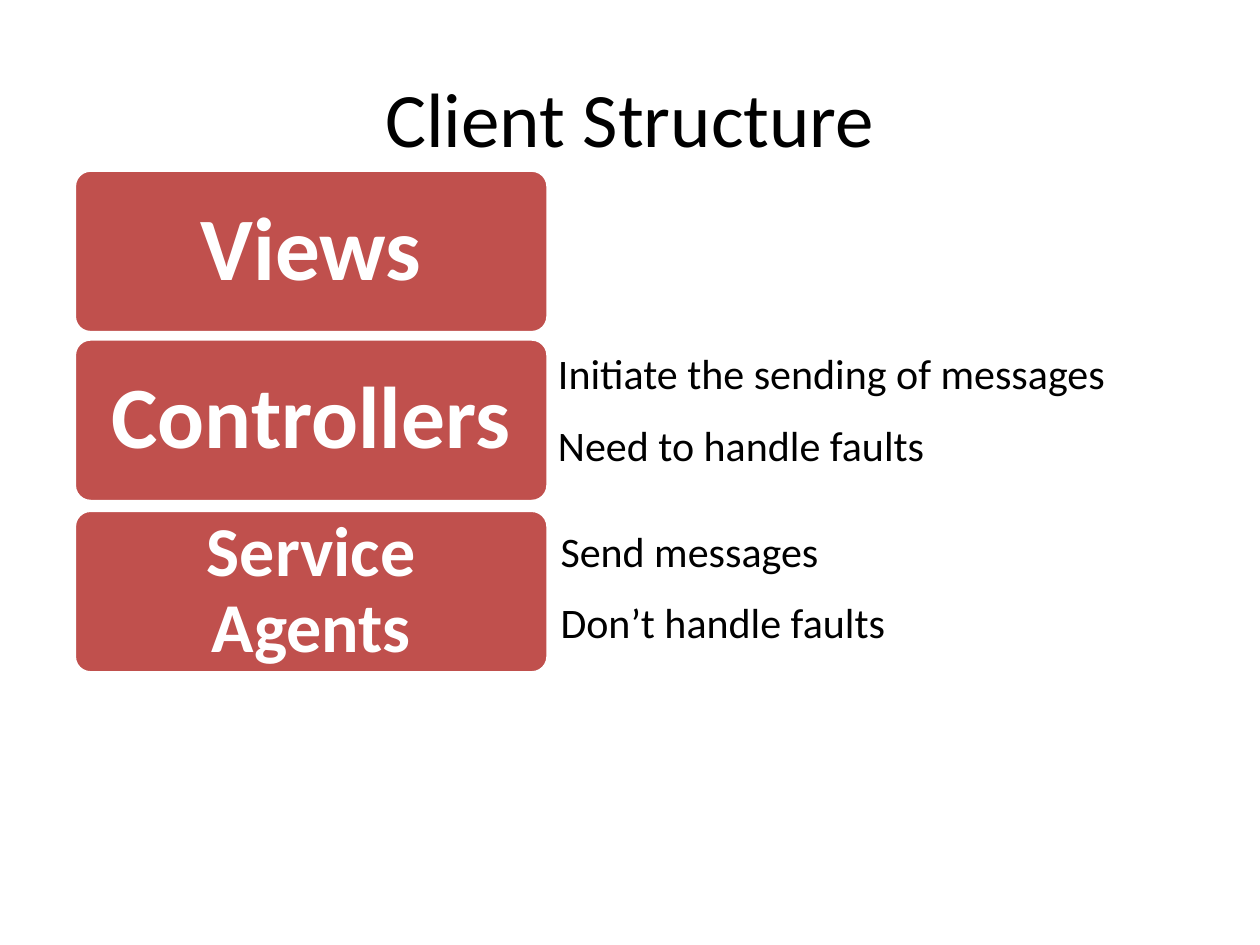
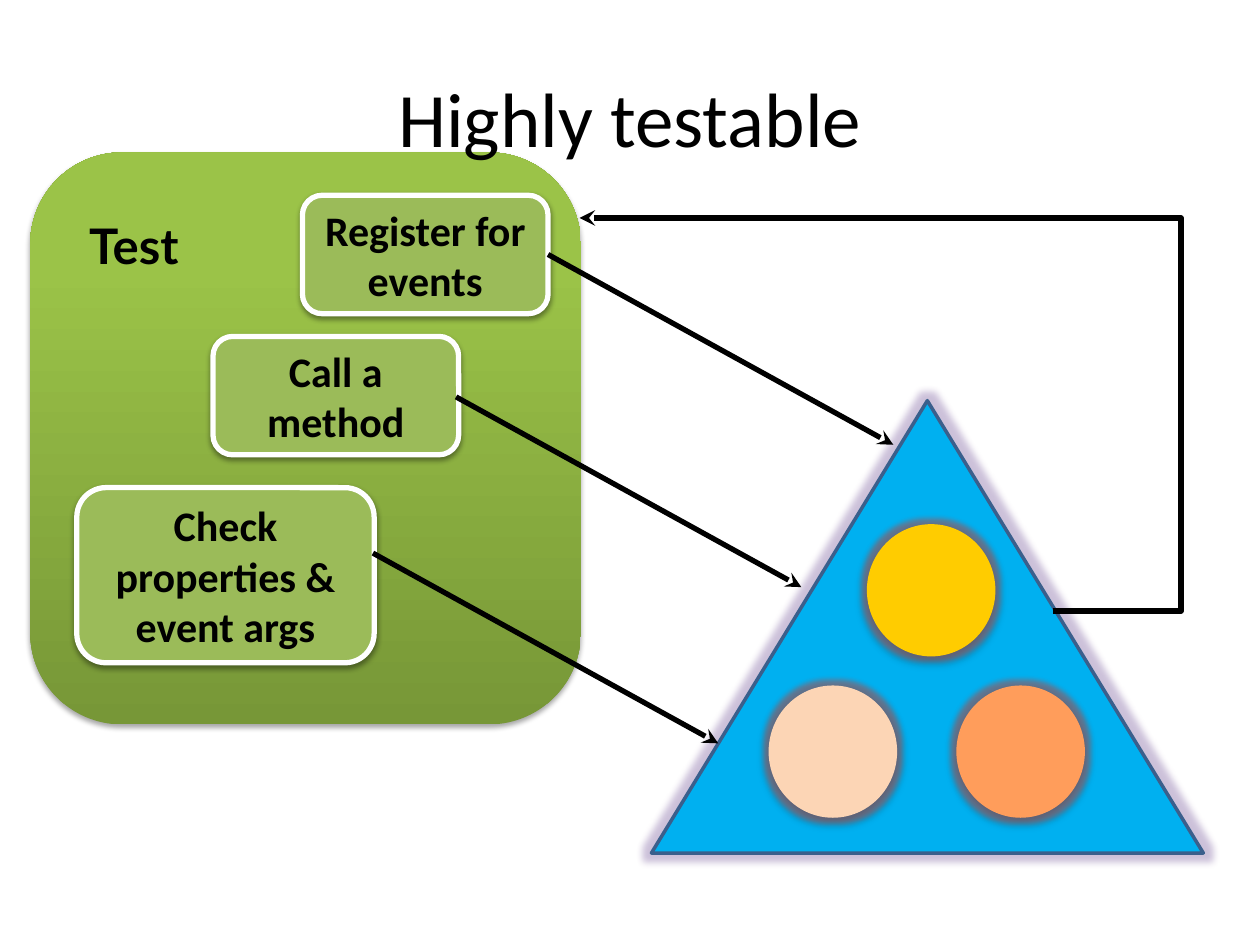
"""Build two slides on client structure and testability."""
from dataclasses import dataclass

from lxml import etree
from pptx import Presentation
from pptx.dml.color import RGBColor
from pptx.enum.shapes import MSO_CONNECTOR, MSO_SHAPE
from pptx.enum.text import MSO_ANCHOR, PP_ALIGN
from pptx.oxml.ns import qn
from pptx.util import Inches, Pt

ROUNDED = MSO_SHAPE.ROUNDED_RECTANGLE
TRIANGLE = MSO_SHAPE.ISOSCELES_TRIANGLE
OVAL = MSO_SHAPE.OVAL
STRAIGHT = MSO_CONNECTOR.STRAIGHT
ELBOW = MSO_CONNECTOR.ELBOW
LEFT = PP_ALIGN.LEFT
CENTER = PP_ALIGN.CENTER
TOP = MSO_ANCHOR.TOP
MIDDLE = MSO_ANCHOR.MIDDLE


@dataclass(frozen=True)
class Theme:
    font: str = "Calibri"
    label_font: str = "Lato"
    ink: str = "000000"
    paper: str = "FFFFFF"
    layer: str = "C0504D"
    step: str = "9BBB59"
    panel_dark: str = "779737"
    panel_light: str = "9BC348"
    system: str = "00B0F0"
    system_edge: str = "3A5F8C"
    system_glow: str = "8064A2"
    title_size: int = 44
    label_size: int = 28
    body_size: int = 24


THEME = Theme()


def write(frame, *lines, size=THEME.body_size, font=THEME.font, color=THEME.ink, bold=False,
          align=LEFT, anchor=TOP, wrap=True, gap=0, spacing=1.0, inset=None):
    frame.word_wrap = wrap
    frame.vertical_anchor = anchor
    if inset is not None:
        frame.margin_left = frame.margin_right = Inches(inset)
        frame.margin_top = frame.margin_bottom = Inches(inset)
    for index, line in enumerate(lines):
        paragraph = frame.add_paragraph() if index else frame.paragraphs[0]
        paragraph.alignment = align
        paragraph.line_spacing = spacing
        paragraph.space_before = Pt(gap if index else 0)
        run = paragraph.add_run()
        run.text = line
        run.font.name = font
        run.font.size = Pt(size)
        run.font.bold = bold
        run.font.color.rgb = RGBColor.from_string(color)


def set_effects(shape, glow=None, shadow=None):
    effects = etree.SubElement(shape._element.spPr, qn("a:effectLst"))
    parts = []
    if glow:
        color, alpha, radius = glow
        parts.append(("a:glow", {"rad": Pt(radius)}, color, alpha))
    if shadow:
        alpha, distance = shadow
        placing = {"blurRad": Pt(3.1), "dist": Pt(distance), "dir": 90 * 60000, "rotWithShape": 0}
        parts.append(("a:outerShdw", placing, THEME.ink, alpha))
    for tag, settings, color, alpha in parts:
        effect = etree.SubElement(effects, qn(tag), {key: str(value) for key, value in settings.items()})
        tint = etree.SubElement(effect, qn("a:srgbClr"), val=color)
        etree.SubElement(tint, qn("a:alpha"), val=str(alpha * 1000))


deck = Presentation()
deck.slide_width, deck.slide_height = Inches(10), Inches(7.5)

slides = []
for heading in ("Client Structure", "Highly testable"):
    slide = deck.slides.add_slide(deck.slide_layouts[5])
    title = slide.shapes.title
    title.left, title.top, title.width, title.height = map(Inches, (0.5, 0.3, 9, 1.25))
    write(title.text_frame, heading, size=THEME.title_size, align=CENTER, anchor=MIDDLE)
    slides.append(slide)
structure, testing = (slide.shapes for slide in slides)

layers = [
    ("Views", 1.35, 51, 0.21),
    ("Controllers", 2.69, 50, 0.21),
    ("Service Agents", 4.05, 40, 0.17),
]
for name, top, size, inset in layers:
    layer = structure.add_shape(ROUNDED, Inches(0.59), Inches(top), Inches(3.76), Inches(1.29))
    layer.adjustments[0] = 0.1
    layer.fill.solid()
    layer.fill.fore_color.rgb = RGBColor.from_string(THEME.layer)
    layer.line.color.rgb = RGBColor.from_string(THEME.paper)
    layer.line.width = Pt(2)
    set_effects(layer)
    write(layer.text_frame, name, size=size, color=THEME.paper, bold=True, align=CENTER,
          anchor=MIDDLE, spacing=0.9, inset=inset)

duties = [
    (4.33, 2.71, ("Initiate the sending of messages", "Need to handle faults")),
    (4.35, 4.12, ("Send messages", "Don’t handle faults")),
]
for left, top, lines in duties:
    duty = structure.add_textbox(Inches(left), Inches(top), Inches(5.49), Inches(1.11))
    write(duty.text_frame, *lines, gap=12)

panel = testing.add_shape(ROUNDED, Inches(0.24), Inches(1.21), Inches(4.37), Inches(4.54))
panel.fill.gradient()
panel.fill.gradient_angle = 90
for stop, color, position in zip(panel.fill.gradient_stops, (THEME.panel_dark, THEME.panel_light), (0, 0.8)):
    stop.color.rgb = RGBColor.from_string(color)
    stop.position = position
panel.line.fill.background()
set_effects(panel, shadow=(35, 1.8))
testing.title._element.addprevious(panel._element)

system = testing.add_shape(TRIANGLE, Inches(5.17), Inches(3.18), Inches(4.38), Inches(3.59))
system.fill.solid()
system.fill.fore_color.rgb = RGBColor.from_string(THEME.system)
system.line.color.rgb = RGBColor.from_string(THEME.system_edge)
system.line.width = Pt(2)
set_effects(system, glow=(THEME.system_glow, 40, 8))

for left, top, color in ((6.1, 5.44, "FCD5B5"), (6.88, 4.16, "FFCC00"), (7.59, 5.44, "FF9D5B")):
    part = testing.add_shape(OVAL, Inches(left), Inches(top), Inches(1.02), Inches(1.05))
    part.fill.solid()
    part.fill.fore_color.rgb = RGBColor.from_string(color)
    part.line.fill.background()
    set_effects(part, glow=(THEME.layer, 50, 6), shadow=(35, 1.8))

steps = [
    ("Register for events", 2.4, 1.55, 1.95, 0.94),
    ("Call a method", 1.69, 2.67, 1.95, 0.94),
    ("Check properties & event args", 0.61, 3.87, 2.36, 1.39),
]
for name, *box in steps:
    step = testing.add_shape(ROUNDED, *map(Inches, box))
    step.fill.solid()
    step.fill.fore_color.rgb = RGBColor.from_string(THEME.step)
    step.line.color.rgb = RGBColor.from_string(THEME.paper)
    step.line.width = Pt(3)
    set_effects(step, shadow=(38, 1.6))
    write(step.text_frame, name, bold=True, align=CENTER, anchor=MIDDLE)

arrows = [(STRAIGHT, x, y, x + 2.74, y + 1.51) for x, y in ((4.35, 2.02), (3.62, 3.15), (2.96, 4.39))]
arrows.append((ELBOW, 8.36, 4.85, 4.6, 1.73))
for kind, *ends in arrows:
    arrow = testing.add_connector(kind, *map(Inches, ends))
    arrow.line.color.rgb = RGBColor.from_string(THEME.ink)
    arrow.line.width = Pt(3)
    etree.SubElement(arrow.line._get_or_add_ln(), qn("a:tailEnd"), type="stealth")
    set_effects(arrow)
    if kind == ELBOW:
        bends = arrow._element.spPr.find(qn("a:prstGeom")).find(qn("a:avLst"))
        etree.SubElement(bends, qn("a:gd"), name="adj1", fmla="val -27000")

test_label = testing.add_textbox(Inches(0.61), Inches(1.66), Inches(0.92), Inches(0.57))
write(test_label.text_frame, "Test", size=THEME.label_size, font=THEME.label_font, bold=True, wrap=False)

deck.save("out.pptx")
